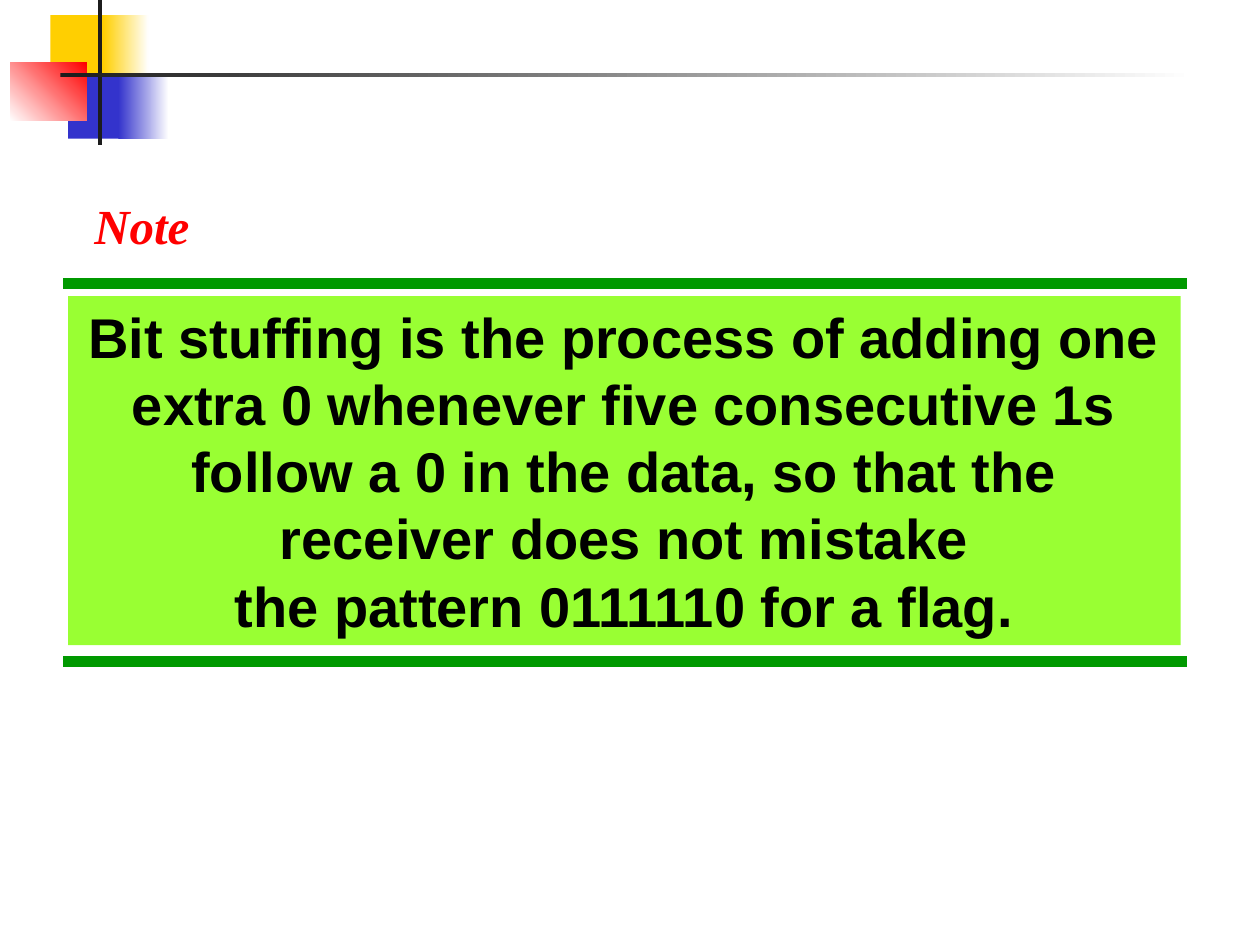
from pptx import Presentation
from pptx import util as u
from pptx.dml.color import RGBColor
from pptx.enum import shapes, text
from pptx.oxml.ns import qn
from lxml import etree

YELLOW = RGBColor(0xFF, 0xCF, 0x01)
BLUE = RGBColor(0x33, 0x33, 0xCC)
RED = RGBColor(0xFF, 0x00, 0x00)
DARK = RGBColor(0x1C, 0x1C, 0x1C)
WHITE = RGBColor(0xFF, 0xFF, 0xFF)
BLACK = RGBColor(0x00, 0x00, 0x00)
GREEN = RGBColor(0x00, 0x99, 0x00)
LIME = RGBColor(0x99, 0xFF, 0x33)

NOTE = "Note"
STATEMENT = [
    "Bit stuffing is the process of adding one extra 0 whenever five consecutive 1s "
    "follow a 0 in the data, so that the receiver does not mistake",
    "the pattern 0111110 for a flag.",
]

# Left, top, width, height in inches; colours; counter-clockwise gradient angle
ORNAMENT = [
    ((0.4, 0.12, 0.48, 0.52), [YELLOW], 0),
    ((0.82, 0.12, 0.36, 0.52), [YELLOW, WHITE], 0),
    ((0.54, 0.58, 0.46, 0.52), [BLUE], 0),
    ((0.94, 0.58, 0.4, 0.52), [BLUE, WHITE], 0),
    ((0.08, 0.5, 0.61, 0.46), [WHITE, RED], 45),
    ((0.78, 0, 0.03, 1.15), [DARK], 0),
    ((0.48, 0.58, 9, 0.03), [DARK, WHITE], 0),
]
RULE_LEFT, RULE_RIGHT = 0.5, 9.42
RULE_TOPS = (2.25, 5.25)
STATEMENT_BOX = (0.54, 2.35, 8.83, 2.77)
NOTE_BOX = (0.65, 1.5, 0.96, 0.57)


def inches(lengths):
    return [u.Inches(length) for length in lengths]


def add_rectangle(slide, box, colours, angle=0):
    """Add a borderless rectangle; two colours make a linear gradient."""
    shape = slide.shapes.add_shape(shapes.MSO_SHAPE.RECTANGLE, *inches(box))
    shape.shadow.inherit = False
    shape.line.fill.background()
    if len(colours) == 1:
        shape.fill.solid()
        shape.fill.fore_color.rgb = colours[0]
    else:
        shape.fill.gradient()
        shape.fill.gradient_angle = angle
        for stop, colour in zip(shape.fill.gradient_stops, colours):
            stop.color.rgb = colour
    return shape


def add_rule(slide, top):
    rule = slide.shapes.add_connector(
        shapes.MSO_CONNECTOR.STRAIGHT, *inches((RULE_LEFT, top, RULE_RIGHT, top)))
    rule.line.color.rgb = GREEN
    rule.line.width = u.Pt(6)
    etree.SubElement(rule._element.spPr, qn("a:effectLst"))


def write(shape, lines, font_name, size, colour, alignment, italic=False):
    frame = shape.text_frame
    frame.text = "\n".join(lines)
    frame.vertical_anchor = text.MSO_ANCHOR.TOP
    frame.auto_size = text.MSO_AUTO_SIZE.SHAPE_TO_FIT_TEXT
    for paragraph in frame.paragraphs:
        paragraph.alignment = alignment
        for run in paragraph.runs:
            run.font.name = font_name
            run.font.size = u.Pt(size)
            run.font.bold = True
            run.font.italic = italic
            run.font.color.rgb = colour
    return frame


def main():
    presentation = Presentation()
    presentation.slide_width, presentation.slide_height = inches((10, 7.5))
    slide = presentation.slides.add_slide(presentation.slide_layouts[6])

    for box, colours, angle in ORNAMENT:
        add_rectangle(slide, box, colours, angle)
    for top in RULE_TOPS:
        add_rule(slide, top)

    statement = add_rectangle(slide, STATEMENT_BOX, [LIME])
    frame = write(statement, STATEMENT, "Arial", 32, BLACK, text.PP_ALIGN.CENTER)
    frame.word_wrap = True
    for paragraph in frame.paragraphs:
        paragraph.line_spacing = u.Pt(38.4)

    note = slide.shapes.add_textbox(*inches(NOTE_BOX))
    frame = write(note, [NOTE], "Times New Roman", 28, RED, text.PP_ALIGN.LEFT, italic=True)
    frame.word_wrap = False

    presentation.save("out.pptx")


if __name__ == "__main__":
    main()
